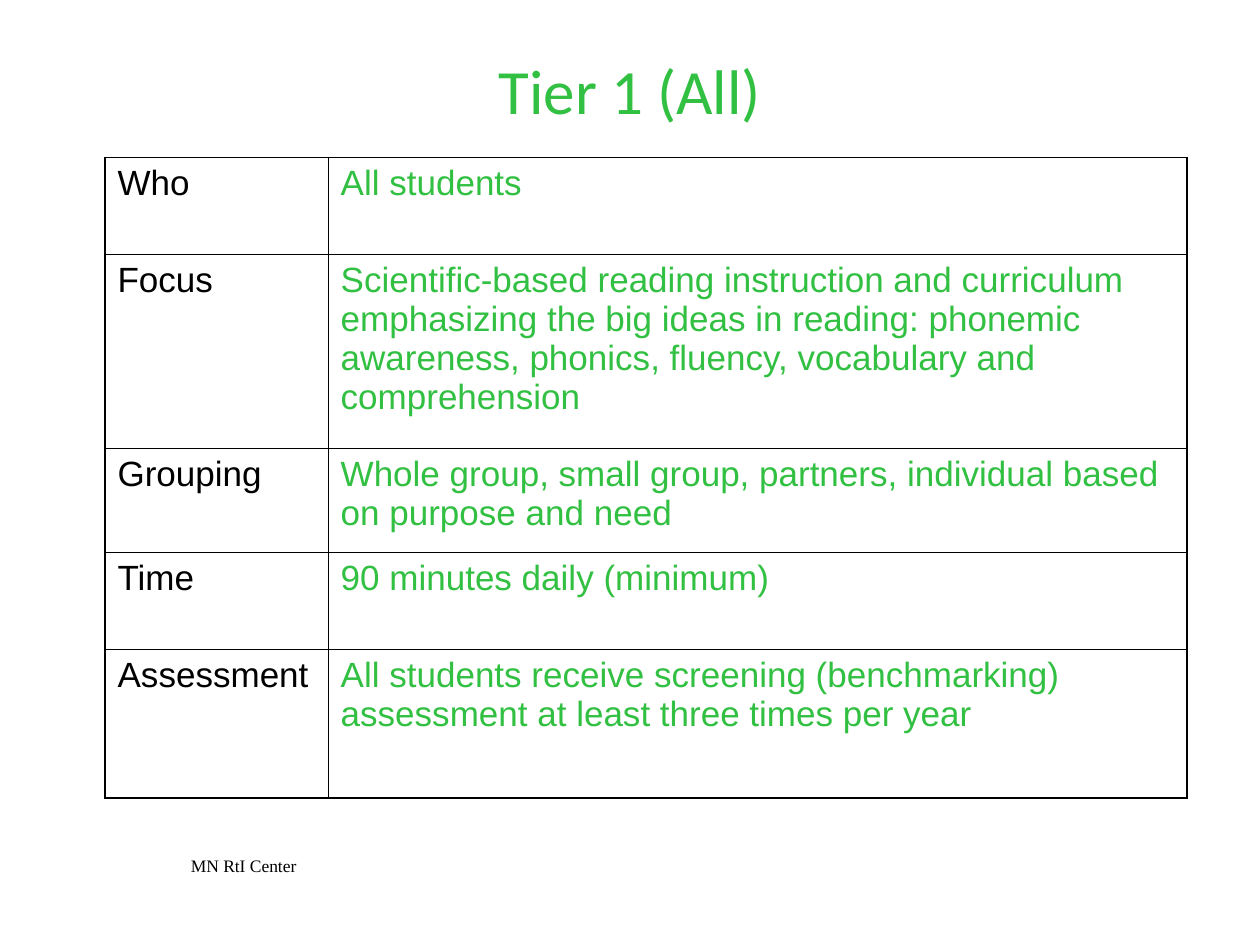
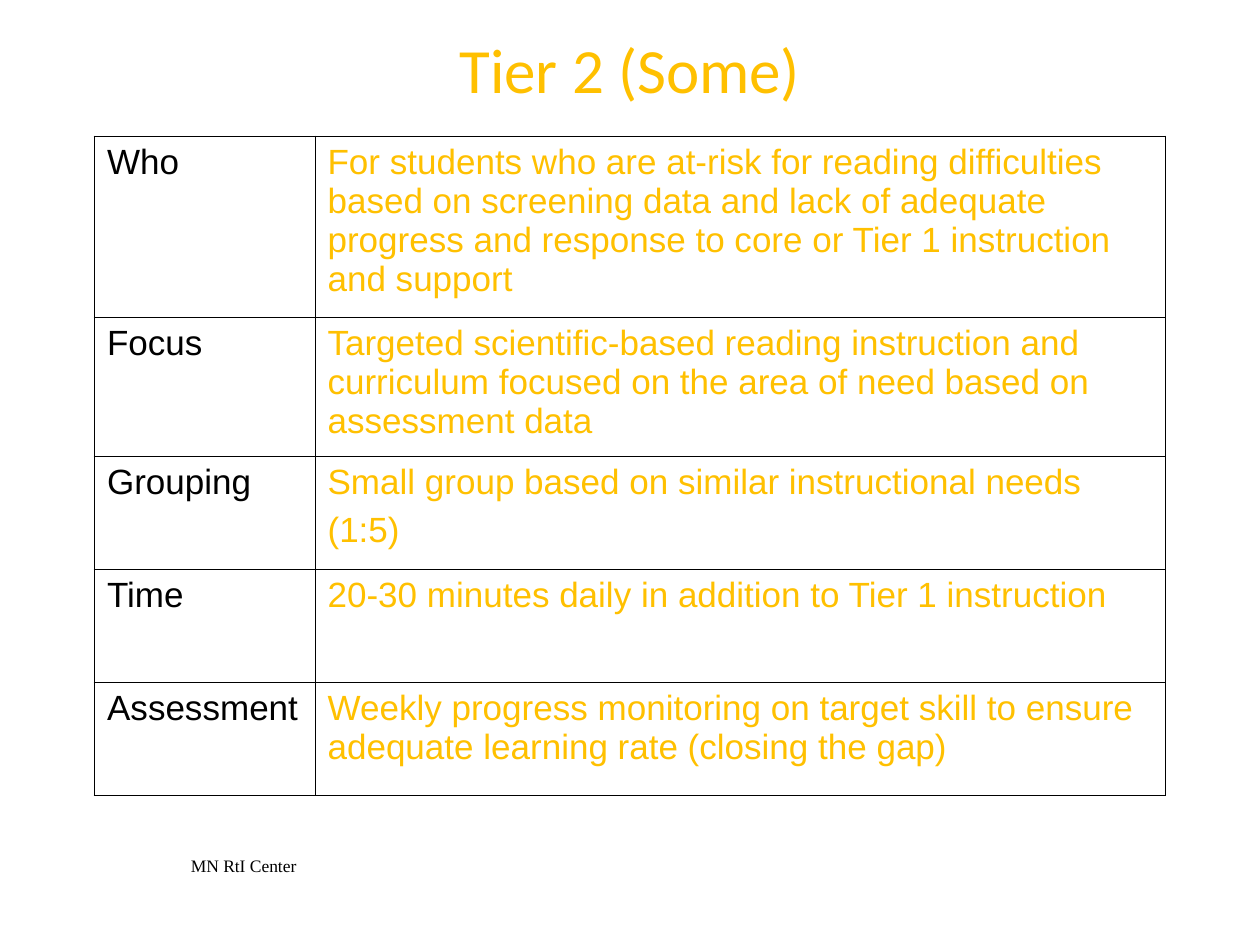
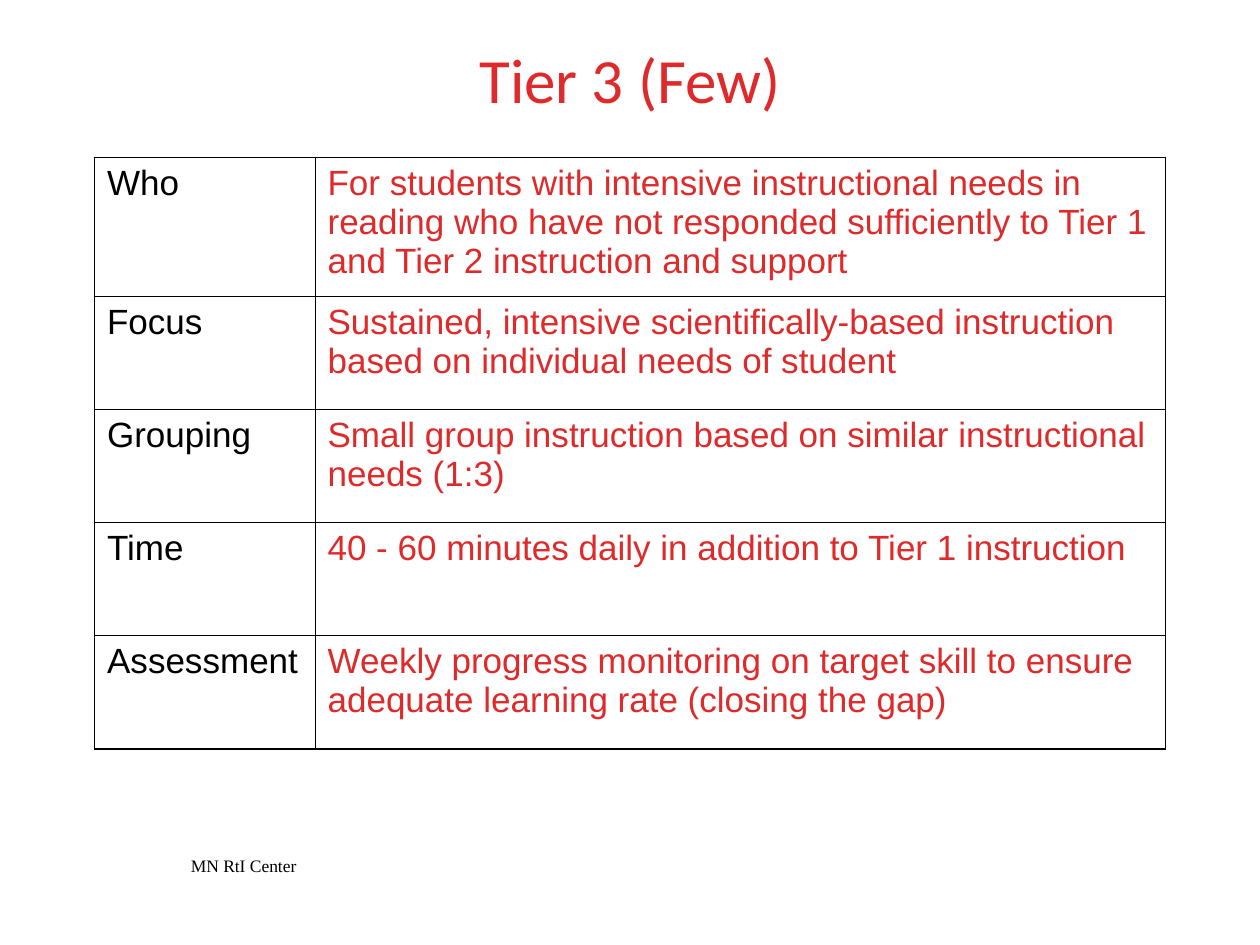
"""Build three slides describing the reading support tiers as tables."""
from lxml import etree
from pptx import Presentation
from pptx.dml.color import RGBColor
from pptx.enum.text import MSO_ANCHOR, PP_ALIGN
from pptx.oxml.ns import qn
from pptx.util import Pt

LEFT, CENTER = PP_ALIGN.LEFT, PP_ALIGN.CENTER
MIDDLE = MSO_ANCHOR.MIDDLE
BLACK = RGBColor(0x00, 0x00, 0x00)
GREEN = RGBColor(0x32, 0xC0, 0x42)
AMBER = RGBColor(0xFF, 0xC0, 0x00)
RED = RGBColor(0xDE, 0x2A, 0x2A)
OUTER, INNER = Pt(1.08), Pt(0.45)
LABELS = ["Who", "Focus", "Grouping", "Time", "Assessment"]
MONITORING = ("Weekly progress monitoring on target skill to ensure "
              "adequate learning rate (closing the gap)")

TIERS = [
    dict(title="Tier 1 (All)", color=GREEN, title_top=6, left=60, top=90,
         cols=[127.5, 491], rows=[55.5, 111, 59, 55.5, 85],
         texts=["All students",
                "Scientific-based reading instruction and curriculum emphasizing "
                "the big ideas in reading: phonemic awareness, phonics, fluency, "
                "vocabulary and comprehension",
                "Whole group, small group, partners, individual based on purpose "
                "and need",
                "90 minutes daily (minimum)",
                "All students receive screening (benchmarking) assessment at "
                "least three times per year"]),
    dict(title="Tier 2 (Some)", color=AMBER, title_top=-6, left=54, top=78,
         cols=[126, 486], rows=[103.5, 79.25, 64.6, 64.6, 64.6],
         texts=["For students who are at-risk for reading difficulties based on "
                "screening data and lack of adequate progress and response to "
                "core or Tier 1 instruction and support",
                "Targeted scientific-based reading instruction and curriculum "
                "focused on the area of need based on assessment data",
                "Small group based on similar instructional needs\n(1:5)",
                "20-30 minutes daily in addition to Tier 1 instruction",
                MONITORING]),
    dict(title="Tier 3 (Few)", color=RED, title_top=0, left=54, top=90,
         cols=[126, 486], rows=[79.25, 64.7, 64.7, 64.7, 64.7],
         texts=["For students with intensive instructional needs in reading who "
                "have not responded sufficiently to Tier 1 and Tier 2 "
                "instruction and support",
                "Sustained, intensive scientifically-based instruction based on "
                "individual needs of student",
                "Small group instruction based on similar instructional needs (1:3)",
                "40 - 60 minutes daily in addition to Tier 1 instruction",
                MONITORING]),
]


def write(tf, text, size=20, font="Arial", color=BLACK, align=LEFT, gap=5):
    for i, line in enumerate(text.split("\n")):
        p = tf.add_paragraph() if i else tf.paragraphs[0]
        p.alignment = align
        if i:
            p.space_before = Pt(gap)
        r = p.add_run()
        r.text = line
        r.font.size = Pt(size)
        r.font.name = font
        r.font.color.rgb = color


def set_borders(cell, **widths):
    tc_pr = cell._tc.get_or_add_tcPr()
    for side, width in widths.items():
        ln = etree.SubElement(tc_pr, qn(f"a:ln{side}"), w=str(width))
        fill = etree.SubElement(ln, qn("a:solidFill"))
        etree.SubElement(fill, qn("a:srgbClr"), val=str(BLACK))


prs = Presentation()
prs.slide_width, prs.slide_height = Pt(720), Pt(540)

for tier in TIERS:
    s = prs.slides.add_slide(prs.slide_layouts[5])

    title = s.shapes.title
    title.left, title.top = Pt(54), Pt(tier["title_top"])
    title.width, title.height = Pt(612), Pt(90)
    title.text_frame.vertical_anchor = MIDDLE
    write(title.text_frame, tier["title"], size=36, font="Calibri",
          color=tier["color"], align=CENTER)

    footer = s.shapes.add_textbox(Pt(102), Pt(485), Pt(86), Pt(19.5))
    footer.text_frame.word_wrap = True
    write(footer.text_frame, "MN RtI Center", size=10, font="Times New Roman")

    cols, rows = tier["cols"], tier["rows"]
    table = s.shapes.add_table(len(rows), len(cols), Pt(tier["left"]), Pt(tier["top"]),
                               Pt(sum(cols)), Pt(sum(rows))).table
    table.first_row = table.horz_banding = False
    for column, width in zip(table.columns, cols):
        column.width = Pt(width)
    for i, (label, text) in enumerate(zip(LABELS, tier["texts"])):
        table.rows[i].height = Pt(rows[i])
        for j, (content, color) in enumerate([(label, BLACK), (text, tier["color"])]):
            cell = table.cell(i, j)
            write(cell.text_frame, content, color=color)
            set_borders(cell,
                        L=OUTER if j == 0 else INNER,
                        R=OUTER if j == len(cols) - 1 else INNER,
                        T=OUTER if i == 0 else INNER,
                        B=OUTER if i == len(rows) - 1 else INNER)
            cell.fill.background()

prs.save("out.pptx")
